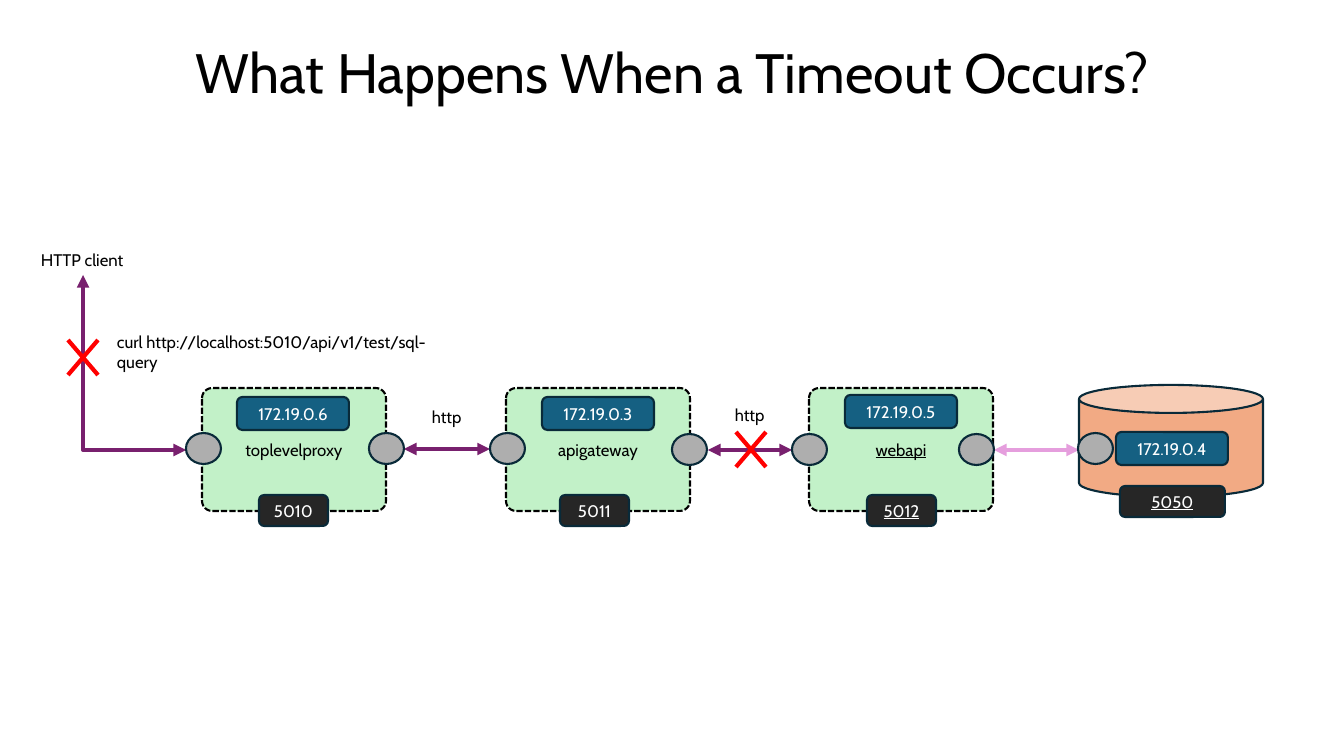
"""Builds a slide tracing a request timeout through a chain of services."""
from dataclasses import dataclass

from lxml import etree
from pptx import Presentation, util as u
from pptx.dml.color import RGBColor
from pptx.enum import dml, shapes, text
from pptx.oxml.ns import qn


@dataclass(frozen=True)
class Theme:
    font: str = "Cabin"
    title: float = 39.6
    body: float = 12
    edge_width: float = 1.5
    arrow_width: float = 3
    black: str = "000000"
    white: str = "FFFFFF"
    edge: str = "092A39"
    service: str = "C2F1C8"
    port: str = "262626"
    address: str = "156082"
    database: str = "F2AA84"
    endpoint: str = "AEAEAE"
    http: str = "78206E"
    sql: str = "E59EDD"
    failure: str = "FF0000"


T = Theme()
K = shapes.MSO_SHAPE
STRAIGHT = shapes.MSO_CONNECTOR.STRAIGHT
ELBOW = shapes.MSO_CONNECTOR.ELBOW
EMU_PER_PX = 914400 / 100.8

TITLE = "What Happens When a Timeout Occurs?"
SERVICES = [
    dict(name="toplevelproxy", x=202, port=("5010", 259), address=("172.19.0.6", 237, 397)),
    dict(name="apigateway", x=506, port=("5011", 560), address=("172.19.0.3", 542, 397)),
    dict(name="webapi", x=809, port=("5012", 867), address=("172.19.0.5", 845, 395), underline=True),
]
DATABASE = dict(box=(1079, 385, 184, 112), port=("5050", (1120, 486, 105, 31)),
                address=("172.19.0.4", 1116, 432))
LABELS = [
    ("http", (422, 402, 50, 30), False),
    ("http", (725, 400, 50, 30), False),
    ("curl http://localhost:5010/api/v1/test/sql-query", (107, 327, 366, 30), True),
    ("HTTP client", (31, 245, 103, 30), False),
]
ARROWS = [
    ((404, 449), (490, 449), T.http),
    ((708, 450), (792, 450), T.http),
    ((994, 450), (1079, 450), T.sql),
]
CLIENT_ARROW = ((222, 311), (47, 414))
ENDPOINTS = [(186, 433), (369, 433), (490, 433), (672, 434), (792, 434), (959, 434), (1078, 433)]
FAILURES = [(68, 340), (736, 432)]
SERVICE_TOP, SERVICE_SIZE = 388, (184, 123)
PORT_TOP, PORT_SIZE = 495, (69, 31)
ADDRESS_SIZE = (112, 33)
ENDPOINT_SIZE = (35, 31)
FAILURE_SIZE = (30, 35)


def px(*values):
    return [round(v * EMU_PER_PX) for v in values]


def rgb(color):
    return RGBColor.from_string(color)


def write(tf, words, size=T.body, color=T.black, align=text.PP_ALIGN.CENTER,
          anchor=text.MSO_ANCHOR.MIDDLE, underline=None, spacing=None, wrap=True):
    tf.word_wrap = wrap
    tf.vertical_anchor = anchor
    p = tf.paragraphs[0]
    p.alignment, p.line_spacing = align, spacing
    r = p.add_run()
    r.text = words
    r.font.name, r.font.size, r.font.underline = T.font, u.Pt(size), underline
    r.font.color.rgb = rgb(color)


def add_box(s, kind, box, fill, edge=T.edge, words=None, dash=None, radius=None, **fmt):
    sp = s.shapes.add_shape(kind, *px(*box))
    sp.shadow.inherit = False
    sp.fill.solid()
    sp.fill.fore_color.rgb = rgb(fill)
    sp.line.color.rgb = rgb(edge)
    sp.line.width = u.Pt(T.edge_width)
    if dash:
        sp.line.dash_style = dash
    if radius:
        sp.adjustments[0] = radius
    if words:
        write(sp.text_frame, words, **fmt)


def add_line(s, start, end, color, kind=STRAIGHT, heads=True):
    line = s.shapes.add_connector(kind, *px(*start, *end))
    line.line.color.rgb = rgb(color)
    line.line.width = u.Pt(T.arrow_width)
    props = line._element.spPr
    etree.SubElement(props, qn("a:effectLst"))
    if heads:
        for tag in ("a:headEnd", "a:tailEnd"):
            etree.SubElement(props.find(qn("a:ln")), qn(tag), type="triangle")
    return line


def add_client_arrow(s):
    props = add_line(s, *CLIENT_ARROW, T.http, kind=ELBOW)._element.spPr
    props.find(qn("a:xfrm")).set("rot", str(270 * 60000))
    props.find(qn("a:prstGeom")).set("prst", "bentConnector2")


def add_port(s, words, box, underline=None):
    add_box(s, K.ROUNDED_RECTANGLE, box, T.port, words=words, color=T.white, underline=underline)


def add_address(s, words, x, y):
    add_box(s, K.ROUNDED_RECTANGLE, (x, y, *ADDRESS_SIZE), T.address, words=words, color=T.white)


def add_service(s, name, x, port, address, underline=None):
    add_box(s, K.ROUNDED_RECTANGLE, (x, SERVICE_TOP, *SERVICE_SIZE), T.service, edge=T.black,
            words=name, dash=dml.MSO_LINE.SQUARE_DOT, radius=0.083, underline=underline)
    number, left = port
    add_port(s, number, (left, PORT_TOP, *PORT_SIZE), underline)
    add_address(s, *address)


def add_failure(s, x, y):
    w, h = FAILURE_SIZE
    add_line(s, (x, y), (x + w, y + h), T.failure, heads=False)
    add_line(s, (x, y + h), (x + w, y), T.failure, heads=False)


def main():
    prs = Presentation()
    prs.slide_width, prs.slide_height = px(1344, 756)
    s = prs.slides.add_slide(prs.slide_layouts[5])
    title = s.shapes.title
    title.left, title.top, title.width, title.height = px(93, 40, 1159, 72)
    write(title.text_frame, TITLE, size=T.title, spacing=0.9)

    for start, end, color in ARROWS:
        add_line(s, start, end, color)
    for words, box, wrap in LABELS:
        tf = s.shapes.add_textbox(*px(*box)).text_frame
        write(tf, words, align=text.PP_ALIGN.LEFT, anchor=text.MSO_ANCHOR.TOP, wrap=wrap)
        tf.auto_size = text.MSO_AUTO_SIZE.SHAPE_TO_FIT_TEXT
    for service in SERVICES:
        add_service(s, **service)
    add_client_arrow(s)
    add_box(s, K.CAN, DATABASE["box"], T.database)
    add_port(s, *DATABASE["port"], underline=True)
    for x, y in ENDPOINTS:
        add_box(s, K.OVAL, (x, y, *ENDPOINT_SIZE), T.endpoint)
    add_address(s, *DATABASE["address"])
    for x, y in FAILURES:
        add_failure(s, x, y)
    prs.save("out.pptx")


if __name__ == "__main__":
    main()
